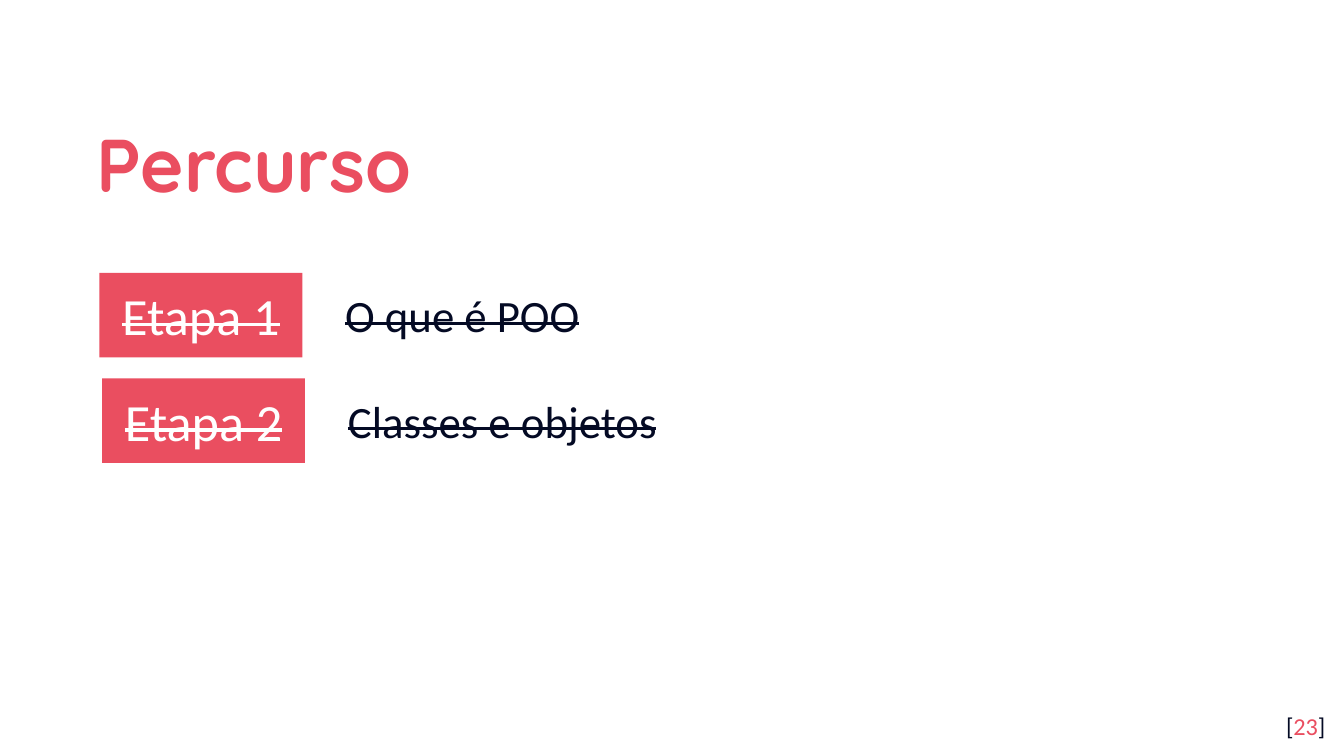
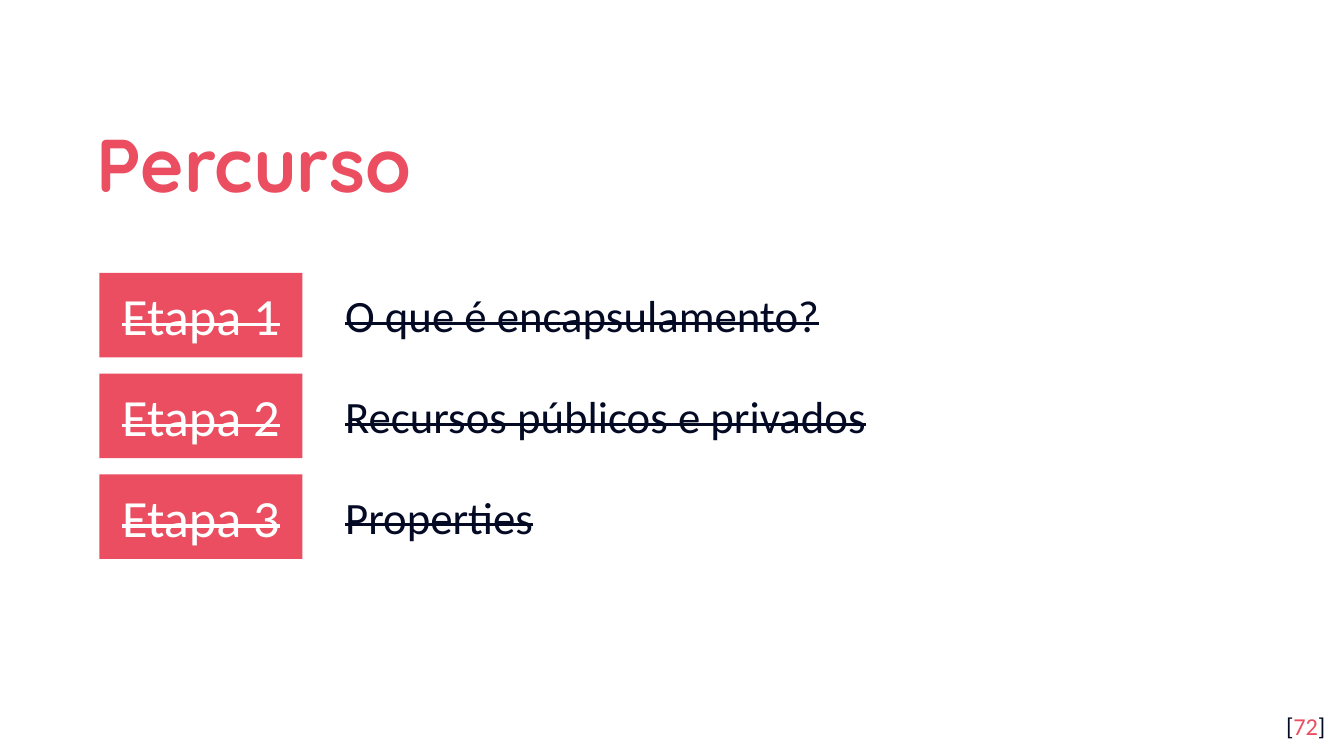
from pptx import Presentation
from pptx.dml.color import RGBColor
from pptx.enum.shapes import MSO_SHAPE
from pptx.enum.text import MSO_ANCHOR, PP_ALIGN
from pptx.util import Inches, Pt

WIDTH, HEIGHT = Inches(10), Inches(5.625)
UNIT = WIDTH / 100  # square grid, 100 columns wide
CORAL, NAVY, WHITE = "EA4E60", "040A24", "FFFFFF"
HEADING_FONT, BODY_FONT = "Quicksand", "Calibri"
TITLE_BOX = (6.2, 7, 81, 9.2)
NUMBER_BOX = (93.6, 51.9, 6, 4.3)
FIRST_STAGE_BOX = (7.4, 20.3, 84.8, 6.3)
TAG_WIDTH, LABEL_LEFT, LABEL_HEIGHT = 15.1, 17.3, 5

# page number, (column shift, row step) from stage to stage, labels
SLIDES = [
    (23, (0.2, 7.85), ["O que é POO", "Classes e objetos"]),
    (72, (0, 7.5), ["O que é encapsulamento?", "Recursos públicos e privados",
                    "Properties"]),
]


def rgb(color):
    return RGBColor.from_string(color)


def grid(*cells):
    return [round(cell * UNIT) for cell in cells]


def set_margins(tf, side=1, top=1):
    tf.word_wrap = True
    tf.margin_left = tf.margin_right = grid(side)[0]
    tf.margin_top = tf.margin_bottom = grid(top)[0]


def style(r, size, color, font=BODY_FONT, bold=False, strike=False):
    r.font.size, r.font.name, r.font.bold = Pt(size), font, bold
    r.font.color.rgb = rgb(color)
    if strike:
        r.font._element.set("strike", "sngStrike")


def set_indent(p, left, first):
    pPr = p._p.get_or_add_pPr()
    pPr.set("marL", str(Inches(left)))
    pPr.set("indent", str(Inches(first)))


def add_title(s, box, text):
    tf = s.shapes.add_textbox(*grid(*box)).text_frame
    set_margins(tf)
    tf.vertical_anchor = MSO_ANCHOR.MIDDLE
    tf.text = text
    p = tf.paragraphs[0]
    p.line_spacing = 1.15
    style(p.runs[0], 40, CORAL, HEADING_FONT, bold=True)


def add_page_number(s, box, number):
    tf = s.shapes.add_textbox(*grid(*box)).text_frame
    set_margins(tf)
    p = tf.paragraphs[0]
    p.alignment = PP_ALIGN.RIGHT
    for text, color in (("[", NAVY), (str(number), CORAL), ("]", NAVY)):
        r = p.add_run()
        r.text = text
        style(r, 13, color)


def add_tag(s, box, text):
    sp = s.shapes.add_shape(MSO_SHAPE.RECTANGLE, *grid(*box))
    sp.shadow.inherit = False
    sp.fill.solid()
    sp.fill.fore_color.rgb = rgb(CORAL)
    sp.line.fill.background()
    tf = sp.text_frame
    set_margins(tf)
    tf.vertical_anchor = MSO_ANCHOR.MIDDLE
    tf.text = text
    p = tf.paragraphs[0]
    p.level = 1
    p.alignment = PP_ALIGN.CENTER
    set_indent(p, 0, 0)
    style(p.runs[0], 28, WHITE, strike=True)


def add_label(s, box, text):
    x, y, w, h = grid(*box)
    outline = s.shapes.build_freeform(x, y)
    outline.add_line_segments([(x + w, y), (x + w, y + h), (x, y + h)])
    sp = outline.convert_to_shape()
    sp.shadow.inherit = False
    sp.fill.background()
    sp.line.fill.background()
    tf = sp.text_frame
    set_margins(tf, top=0.5)
    tf.vertical_anchor = MSO_ANCHOR.TOP
    tf.text = text
    p = tf.paragraphs[0]
    p.alignment = PP_ALIGN.LEFT
    set_indent(p, 0.5, -0.5)
    style(p.runs[0], 24, NAVY, strike=True)


def add_stage(s, box, number, text):
    x, y, w, h = box
    add_tag(s, (x, y, TAG_WIDTH, h), f"Etapa {number}")
    label_top = y + (h - LABEL_HEIGHT) / 2
    add_label(s, (x + LABEL_LEFT, label_top, w - LABEL_LEFT, LABEL_HEIGHT), text)


def add_route_slide(prs, number, step, labels):
    s = prs.slides.add_slide(prs.slide_layouts[6])
    s.background.fill.solid()
    s.background.fill.fore_color.rgb = rgb(WHITE)
    add_title(s, TITLE_BOX, "Percurso")
    x, y, w, h = FIRST_STAGE_BOX
    for i, text in enumerate(labels):
        add_stage(s, (x + i * step[0], y + i * step[1], w, h), i + 1, text)
    add_page_number(s, NUMBER_BOX, number)


def main():
    prs = Presentation()
    prs.slide_width, prs.slide_height = WIDTH, HEIGHT
    for number, step, labels in SLIDES:
        add_route_slide(prs, number, step, labels)
    prs.save("out.pptx")


if __name__ == "__main__":
    main()
